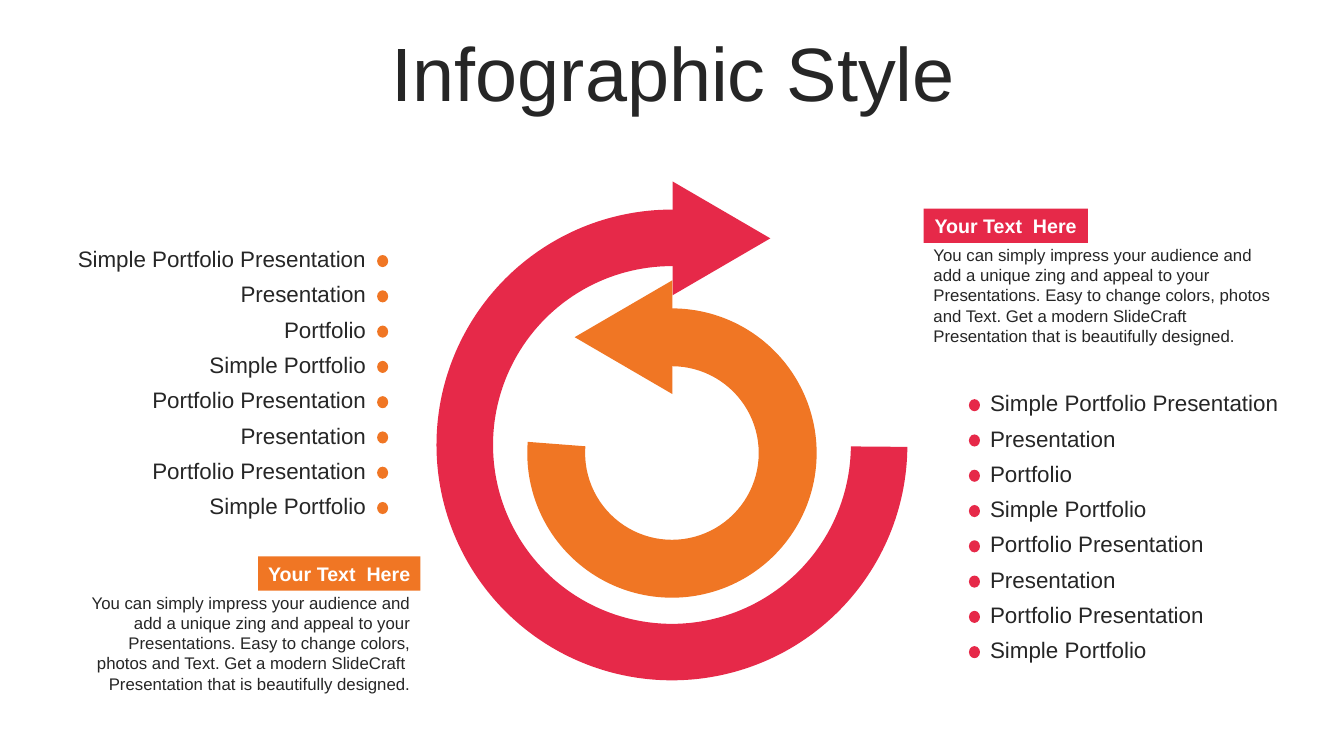
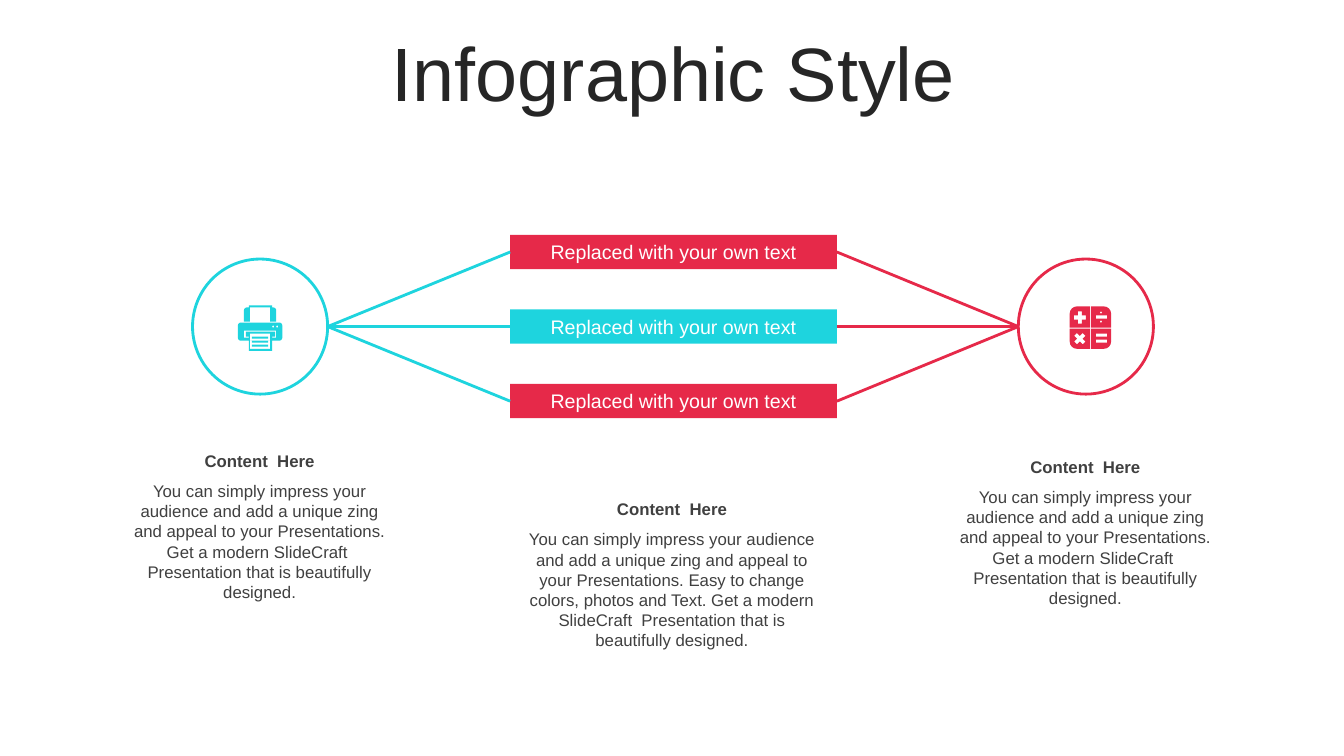
import math
from dataclasses import dataclass

from lxml import etree
from pptx import Presentation
from pptx import util as u
from pptx.dml.color import RGBColor
from pptx.enum import shapes, text
from pptx.oxml.ns import qn

Inches = u.Inches
SHAPE = shapes.MSO_SHAPE
LEFT, CENTER, RIGHT = text.PP_ALIGN.LEFT, text.PP_ALIGN.CENTER, text.PP_ALIGN.RIGHT
TOP, MIDDLE = text.MSO_ANCHOR.TOP, text.MSO_ANCHOR.MIDDLE


@dataclass(frozen=True)
class Theme:
    font: str = "Arial"
    crimson: str = "E62949"
    orange: str = "F07624"
    cyan: str = "1ED4DE"
    white: str = "FFFFFF"
    ink: str = "262626"
    gray: str = "404040"
    title: int = 54
    item: int = 16
    label: int = 14
    body: int = 12
    line: int = 2


THEME = Theme()
TWO_LISTS, TITLE_ONLY = 3, 5
LIST_PITCH = 0.35
BAR_LEFT, BAR_WIDTH, BAR_HEIGHT = 5.06, 3.24, 0.34
CIRCLE_SIZE, CENTER_Y = 1.34, 3.24

ITEMS = [
    "Simple Portfolio Presentation",
    "Presentation",
    "Portfolio",
    "Simple Portfolio",
    "Portfolio Presentation",
    "Presentation",
    "Portfolio Presentation",
    "Simple Portfolio",
]
INTRO = "You can simply impress your audience and add a unique zing and appeal to your Presentations. "
EASY = "Easy to change colors, photos and Text. "
CLOSING = "Get a modern SlideCraft  Presentation that is beautifully designed."


def rgb(color):
    return RGBColor.from_string(color)


def place(shape, left, top, width, height):
    shape.left, shape.top = Inches(left), Inches(top)
    shape.width, shape.height = Inches(width), Inches(height)


def write(shape, lines, size, color, align=LEFT, bold=False, anchor=TOP, wrap=True):
    frame = shape.text_frame
    frame.text = "\n".join(lines)
    frame.word_wrap = wrap
    frame.auto_size = text.MSO_AUTO_SIZE.NONE
    frame.vertical_anchor = anchor
    for para in frame.paragraphs:
        para.alignment = align
        for span in para.runs:
            span.font.name = THEME.font
            span.font.size = u.Pt(size)
            span.font.bold = bold
            span.font.color.rgb = rgb(color)
    return frame


def paint(shape, fill, line=None):
    shape.shadow.inherit = False
    shape.fill.solid()
    shape.fill.fore_color.rgb = rgb(fill)
    if line:
        shape.line.color.rgb = rgb(line)
        shape.line.width = u.Pt(THEME.line)
    else:
        shape.line.fill.background()
    return shape


def add_preset(page, kind, left, top, width, height, fill, line=None):
    shape = page.shapes.add_shape(kind, Inches(left), Inches(top), Inches(width), Inches(height))
    return paint(shape, fill, line)


def add_text(page, left, top, width, height, words, color, align=LEFT, bold=False):
    box = page.shapes.add_textbox(Inches(left), Inches(top), Inches(width), Inches(height))
    write(box, [words], THEME.body, color, align, bold)


def add_page(deck, layout):
    page = deck.slides.add_slide(deck.slide_layouts[layout])
    title = page.shapes.title
    place(title, 0.35, 0.37, 12.66, 0.79)
    frame = write(title, ["Infographic Style"], THEME.title, THEME.ink, CENTER, anchor=MIDDLE)
    frame.paragraphs[0].line_spacing = 0.9
    return page


def add_arc(page, left, top, size, start, end, thickness, color):
    arc = add_preset(page, SHAPE.BLOCK_ARC, left, top, size, size, color)
    arc.adjustments[0] = start * 0.6
    arc.adjustments[1] = end * 0.6
    arc.adjustments[2] = thickness


def add_arrowhead(page, left, top, rotation, color):
    head = add_preset(page, SHAPE.ISOSCELES_TRIANGLE, left, top, 1.13, 0.97, color)
    head.rotation = rotation


def add_label(page, left, top, width, words, color, bold=False):
    bar = add_preset(page, SHAPE.RECTANGLE, left, top, width, BAR_HEIGHT, color)
    write(bar, [words], THEME.label, THEME.white, CENTER, bold, MIDDLE, wrap=False)
    return bar


def add_list(page, index, left, top, align, dot_left, color):
    body = page.placeholders[index]
    place(body, left, top, 3.1, LIST_PITCH * len(ITEMS))
    frame = write(body, ITEMS, THEME.item, THEME.ink, align)
    frame.margin_top = frame.margin_bottom = 0
    for row, para in enumerate(frame.paragraphs):
        para.line_spacing = u.Pt(LIST_PITCH * 72)
        para.space_before = u.Pt(0)
        properties = para._p.get_or_add_pPr()
        properties.set("marL", "0")
        properties.set("indent", "0")
        etree.SubElement(properties, qn("a:buNone"))
        add_preset(page, SHAPE.OVAL, dot_left, top + 0.18 + row * LIST_PITCH, 0.11, 0.12, color)


def add_content(page, left, top, width, words):
    add_text(page, left, top, width, 0.3, "Content  Here", THEME.gray, CENTER, True)
    add_text(page, left, top + 0.3, width, 1.31, words, THEME.gray, CENTER)


def add_link(page, bar, side, x, color):
    link = page.shapes.add_connector(
        shapes.MSO_CONNECTOR.STRAIGHT, 0, 0, Inches(x), Inches(CENTER_Y)
    )
    link.begin_connect(bar, side)
    link.line.color.rgb = rgb(color)
    link.line.width = u.Pt(THEME.line)
    etree.SubElement(link._element.spPr, qn("a:effectLst"))


def add_circle(page, left, color):
    top = CENTER_Y - CIRCLE_SIZE / 2
    add_preset(page, SHAPE.OVAL, left, top, CIRCLE_SIZE, CIRCLE_SIZE, THEME.white, color)


def rounded(left, top, right, bottom, radii=(0, 0, 0, 0)):
    corners = [(left, top, 1, 1), (right, top, -1, 1), (right, bottom, -1, -1), (left, bottom, 1, -1)]
    points = []
    for quarter, ((x, y, dx, dy), radius) in enumerate(zip(corners, radii)):
        for step in range(5 if radius else 1):
            angle = math.radians(180 + 90 * quarter + 22.5 * step)
            points.append((
                x + radius * (dx + math.cos(angle)) if radius else x,
                y + radius * (dy + math.sin(angle)) if radius else y,
            ))
    return points


def dot(x, y, radius):
    return rounded(x - radius, y - radius, x + radius, y + radius, (radius,) * 4)


def cross(x, y, arm, half, degrees):
    points = []
    for quarter in range(4):
        angle = math.radians(degrees + 90 * quarter)
        for along, across in ((arm, -half), (arm, half), (half, half)):
            points.append((
                x + along * math.cos(angle) - across * math.sin(angle),
                y + along * math.sin(angle) + across * math.cos(angle),
            ))
    return points


def add_icon(page, contours, color):
    scaled = [[(Inches(x), Inches(y)) for x, y in contour] for contour in contours]
    builder = page.shapes.build_freeform(*scaled[0][0], scale=1.0)
    for number, contour in enumerate(scaled):
        if number:
            builder.move_to(*contour[0])
        builder.add_line_segments(contour[1:], close=True)
    paint(builder.convert_to_shape(), color)


def calculator():
    keys = [
        rounded(10.61, 3.04, 10.81, 3.25, (0.07, 0, 0, 0)),
        rounded(10.82, 3.04, 11.02, 3.25, (0, 0.07, 0, 0)),
        rounded(10.82, 3.26, 11.02, 3.46, (0, 0, 0.07, 0)),
        rounded(10.61, 3.26, 10.81, 3.46, (0, 0, 0, 0.07)),
    ]
    bars = [rounded(10.87, y, 10.98, y + 0.03) for y in (3.13, 3.31, 3.37)]
    dots = [dot(10.92, y, 0.01) for y in (3.1, 3.19)]
    return keys + bars + dots + [cross(10.71, 3.15, 0.06, 0.02, 0), cross(10.71, 3.36, 0.06, 0.02, 45)]


def printer():
    slot = [
        (2.42, 3.28), (2.74, 3.28), (2.74, 3.35), (2.7, 3.35), (2.7, 3.34), (2.73, 3.34),
        (2.73, 3.29), (2.44, 3.29), (2.44, 3.34), (2.47, 3.34), (2.47, 3.35), (2.42, 3.35),
    ]
    lines = [rounded(2.5, y, 2.66, y + 0.02) for y in (3.34, 3.38, 3.42)]
    lamps = [dot(x, 3.24, 0.01) for x in (2.71, 2.75)]
    return lines + lamps + [
        slot,
        rounded(2.36, 3.2, 2.8, 3.38, (0.03,) * 4),
        rounded(2.47, 3.38, 2.7, 3.48),
        rounded(2.48, 3.31, 2.68, 3.46),
        rounded(2.47, 3.03, 2.7, 3.05),
        rounded(2.42, 3.05, 2.48, 3.19, (0.03, 0, 0, 0)),
        rounded(2.68, 3.05, 2.74, 3.19, (0, 0.03, 0, 0)),
    ]


def build_arrows(deck):
    page = add_page(deck, TWO_LISTS)
    add_arc(page, 4.33, 2.08, 4.67, 0.47, 270.77, 0.12, THEME.crimson)
    add_arrowhead(page, 6.59, 1.88, 90, THEME.crimson)
    add_arc(page, 5.23, 3.06, 2.87, 269.66, 184.44, 0.2, THEME.orange)
    add_arrowhead(page, 5.62, 2.86, 270, THEME.orange)

    words = INTRO + EASY + CLOSING
    add_label(page, 2.56, 5.52, 1.61, "Your Text  Here", THEME.orange, True)
    add_text(page, 0.64, 5.83, 3.53, 1.11, words, THEME.ink, RIGHT)
    add_label(page, 9.16, 2.07, 1.63, "Your Text  Here", THEME.crimson, True)
    add_text(page, 9.16, 2.38, 3.66, 1.11, words, THEME.ink)

    add_list(page, 1, 0.63, 2.35, RIGHT, 3.74, THEME.orange)
    add_list(page, 2, 9.72, 3.78, LEFT, 9.61, THEME.crimson)


def build_links(deck):
    page = add_page(deck, TITLE_ONLY)
    left_circle, right_circle = 1.91, 10.1
    for row, color in enumerate((THEME.crimson, THEME.cyan, THEME.crimson)):
        bar = add_label(
            page, BAR_LEFT, 2.33 + 0.74 * row, BAR_WIDTH, "Replaced with your own text", color
        )
        add_link(page, bar, 1, left_circle + CIRCLE_SIZE, THEME.cyan)
        add_link(page, bar, 3, right_circle, THEME.crimson)
    add_circle(page, left_circle, THEME.cyan)
    add_circle(page, right_circle, THEME.crimson)
    add_icon(page, printer(), THEME.cyan)
    add_icon(page, calculator(), THEME.crimson)

    add_content(page, 1.23, 4.42, 2.69, INTRO + CLOSING)
    add_content(page, 5.07, 4.9, 3.19, INTRO + EASY + CLOSING)
    add_content(page, 9.42, 4.48, 2.69, INTRO + CLOSING)


def main():
    deck = Presentation()
    deck.slide_width, deck.slide_height = Inches(13.33), Inches(7.5)
    build_arrows(deck)
    build_links(deck)
    deck.save("out.pptx")


if __name__ == "__main__":
    main()
